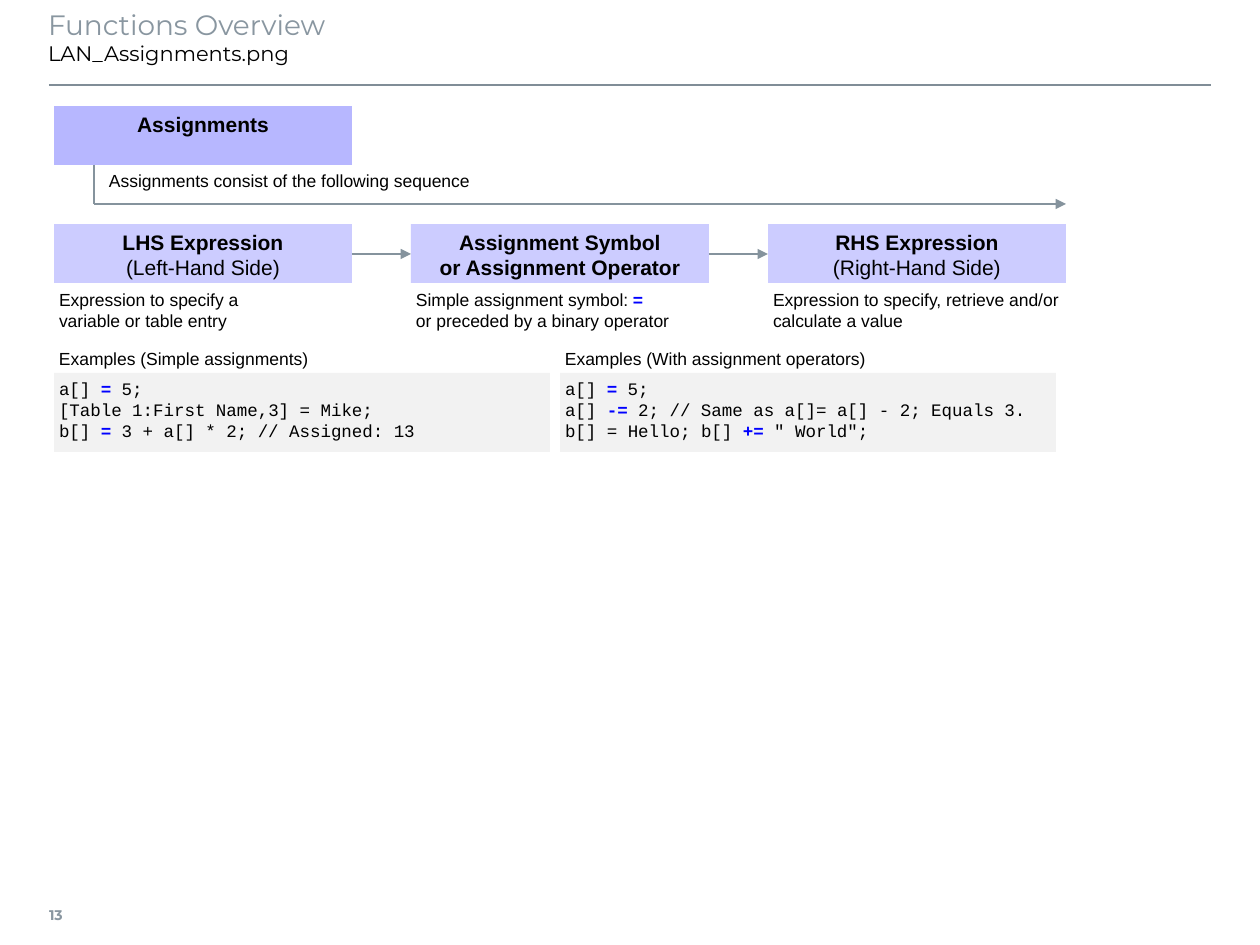
from lxml import etree
from pptx import Presentation
from pptx import util as u
from pptx.dml.color import RGBColor
from pptx.enum import shapes, text
from pptx.oxml.ns import qn

PX = 914400 / 126
INK = {"black": "000000", "title": "8996A0", "rule": "808D97", "arrow": "85939D",
       "head": "B7B7FF", "step": "CCCCFF", "code": "F2F2F2", "sign": "0000FF"}
LEFT, WIDE, HIGH, STEP = 54, 298, 59, 357  # step boxes and their pitch
LABEL = 380  # width of one-line labels


def px(n):
    return u.Emu(round(n * PX))


def rgb(key):
    return RGBColor.from_string(INK[key])


def style(font, size, name="Arial", ink="black", bold=False):
    font.size, font.name, font.bold = u.Pt(size), name, bold
    font.color.rgb = rgb(ink)


def write(shape, lines, size=10, name="Arial", bold=(), align=text.PP_ALIGN.LEFT):
    """Fill a shape with lines; text between bars is a highlighted operator."""
    frame = shape.text_frame
    frame.word_wrap = False
    frame.vertical_anchor = text.MSO_ANCHOR.TOP
    frame.margin_left = frame.margin_right = px(5)
    frame.margin_top = frame.margin_bottom = px(5)
    for i, line in enumerate(lines):
        para = frame.paragraphs[0] if i == 0 else frame.add_paragraph()
        para.alignment = align
        style(para.font, size, name, bold=i in bold)
        for j, part in enumerate(line.split("|")):
            run = para.add_run()
            run.text = part
            if j % 2:
                run.font.bold = True
                run.font.color.rgb = rgb("sign")


def note(slide, x, y, w, h, lines):
    write(slide.shapes.add_textbox(px(x), px(y), px(w), px(h)), lines)


def box(slide, x, y, w, h, fill, lines, **look):
    rect = slide.shapes.add_shape(shapes.MSO_SHAPE.RECTANGLE, px(x), px(y), px(w), px(h))
    rect.shadow.inherit = False
    rect.fill.solid()
    rect.fill.fore_color.rgb = rgb(fill)
    rect.line.fill.background()
    write(rect, lines, **look)


def head(slide, x, y, fill, lines, bold):
    box(slide, x, y, WIDE, HIGH, fill, lines, size=12, bold=bold,
        align=text.PP_ALIGN.CENTER)


def line(slide, x1, y1, x2, y2, ink="arrow", width=0.75, tip=False):
    link = slide.shapes.add_connector(shapes.MSO_CONNECTOR.STRAIGHT,
                                      px(x1), px(y1), px(x2), px(y2))
    link.line.color.rgb = rgb(ink)
    link.line.width = u.Pt(width)
    if tip:
        etree.SubElement(link.line._get_or_add_ln(), qn("a:tailEnd"), type="triangle")
    etree.SubElement(link._element.spPr, qn("a:effectLst"))


def title(slide, top, sub):
    shape = slide.shapes.title
    shape.left, shape.top, shape.width, shape.height = px(48), px(1), px(1160), px(79)
    frame = shape.text_frame
    frame.auto_size = text.MSO_AUTO_SIZE.NONE
    frame.vertical_anchor = text.MSO_ANCHOR.TOP
    frame.margin_left = 0
    para = frame.paragraphs[0]
    para.alignment = text.PP_ALIGN.LEFT
    run = para.add_run()
    run.text = top
    style(run.font, 16, "Montserrat", "title")
    para.add_line_break()
    run = para.add_run()
    run.text = sub
    style(run.font, 12, "Montserrat")


def number(slide, label):
    frame = slide.shapes.add_textbox(px(49), px(890), px(44), px(49)).text_frame
    frame.word_wrap = False
    frame.margin_left = 0
    frame.vertical_anchor = text.MSO_ANCHOR.MIDDLE
    para = frame.paragraphs[0]
    para.text = label
    style(para.font, 8, "Montserrat", "title", True)


def main():
    deck = Presentation()
    deck.slide_width, deck.slide_height = px(1260), px(945)
    slide = deck.slides.add_slide(deck.slide_layouts[5])

    # Page frame
    line(slide, 49, 85, 1211, 85, "rule", 1)
    number(slide, "13")
    title(slide, "Functions Overview", "LAN_Assignments.png")

    # Topic and the line leading into its sequence
    line(slide, 94, 204, 1066, 204, tip=True)
    head(slide, LEFT, 106, "head", ["Assignments"], (0,))
    line(slide, 94, 165, 94, 204)
    note(slide, 104, 165, LABEL, 30, ["Assignments consist of the following sequence"])

    # Sequence of steps
    steps = [
        (["LHS Expression", "(Left-Hand Side)"], (0,),
         ["Expression to specify a", "variable or table entry"]),
        (["Assignment Symbol", "or Assignment Operator"], (0, 1),
         ["Simple assignment symbol: |=|", "or preceded by a binary operator"]),
        (["RHS Expression", "(Right-Hand Side)"], (0,),
         ["Expression to specify, retrieve and/or", "calculate a value"]),
    ]
    for i, (names, bold, about) in enumerate(steps):
        x = LEFT + i * STEP
        head(slide, x, 224, "step", names, bold)
        note(slide, x, 284, WIDE, 49, about)
        if i:
            line(slide, x - STEP + WIDE, 254, x, 254, tip=True)

    # Code examples
    samples = [
        ("Examples (Simple assignments)",
         ["a[] |=| 5;", "[Table 1:First Name,3] = Mike;",
          "b[] |=| 3 + a[] * 2; // Assigned: 13"]),
        ("Examples (With assignment operators)",
         ["a[] |=| 5;", "a[] |-=| 2; // Same as a[]= a[] - 2; Equals 3.",
          'b[] = Hello; b[] |+=| " World";']),
    ]
    for i, (label, code) in enumerate(samples):
        x = LEFT + i * 506
        note(slide, x, 343, LABEL, 30, [label])
        box(slide, x, 373, 496, 79, "code", code, name="Courier New")

    deck.save("out.pptx")


if __name__ == "__main__":
    main()
